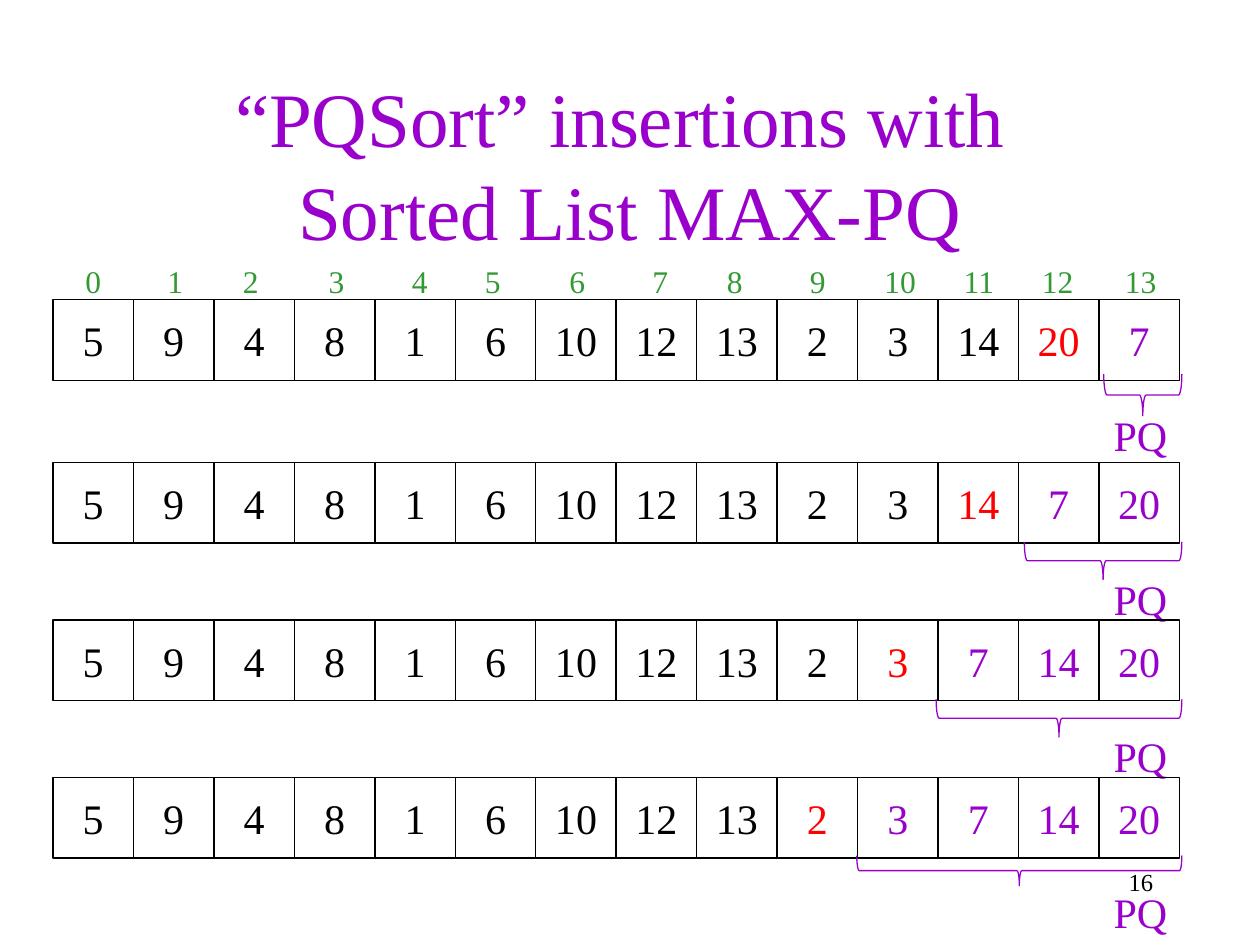
from pptx import Presentation
from pptx.dml.color import RGBColor
from pptx.enum.shapes import MSO_SHAPE
from pptx.enum.text import MSO_ANCHOR, MSO_AUTO_SIZE, PP_ALIGN
from pptx.util import Inches, Pt

BLACK = RGBColor(0x00, 0x00, 0x00)
RED = RGBColor(0xFF, 0x00, 0x00)
PURPLE = RGBColor(0x99, 0x00, 0xCC)
GREEN = RGBColor(0x33, 0x99, 0x33)
FONT = "Times New Roman"

TITLE = "“PQSort” insertions with \vSorted List MAX-PQ"
PAGE_NUMBER = "16"
INDEX_LEFTS = [0.58, 1.23, 1.83, 2.51, 3.17, 3.75, 4.42,
               5.08, 5.67, 6.33, 6.92, 7.55, 8.17, 8.83]
UNSORTED = [5, 9, 4, 8, 1, 6, 10, 12, 13, 2, 3, 14, 20, 7]
# One step per row: row top, PQ contents, brace (top, depth, length), PQ label top
STEPS = [
    (2.38, [7], (2.97, 0.33, 0.62), 3.2),
    (3.67, [7, 20], (4.3, 0.3, 1.25), 4.5),
    (4.92, [7, 14, 20], (5.55, 0.3, 1.95), 5.75),
    (6.17, [3, 7, 14, 20], (6.79, 0.24, 2.58), 6.99),
]

CELL = 0.64
ARRAY_LEFT, ARRAY_RIGHT = 0.42, 9.36
PITCH = (ARRAY_RIGHT - ARRAY_LEFT) / len(UNSORTED)
BRACE_RIGHT = 9.38
LABEL_LEFT = 8.74


def format_text(tf, size, color, align):
    for p in tf.paragraphs:
        p.alignment = align
        for r in p.runs:
            r.font.name = FONT
            r.font.size = Pt(size)
            r.font.color.rgb = color


def add_label(s, text, left, top, width, height, size, color,
              align=PP_ALIGN.LEFT, wrap=False):
    box = s.shapes.add_textbox(Inches(left), Inches(top), Inches(width), Inches(height))
    tf = box.text_frame
    tf.text = text
    tf.word_wrap = wrap
    tf.auto_size = MSO_AUTO_SIZE.NONE if wrap else MSO_AUTO_SIZE.SHAPE_TO_FIT_TEXT
    format_text(tf, size, color, align)


def add_outline(s, kind, left, top, width, height, color):
    sp = s.shapes.add_shape(kind, Inches(left), Inches(top), Inches(width), Inches(height))
    sp.shadow.inherit = False
    sp.fill.background()
    sp.line.color.rgb = color
    sp.line.width = Pt(0.75)
    return sp


def add_cell(s, value, column, top, color):
    sp = add_outline(s, MSO_SHAPE.RECTANGLE, ARRAY_LEFT + column * PITCH, top,
                     CELL, CELL, BLACK)
    tf = sp.text_frame
    tf.text = str(value)
    tf.word_wrap = False
    tf.vertical_anchor = MSO_ANCHOR.MIDDLE
    format_text(tf, 24, color, PP_ALIGN.CENTER)


def add_brace(s, top, depth, length):
    """Add a left brace turned to point down, ending at the array's right edge."""
    center_x, center_y = BRACE_RIGHT - length / 2, top + depth / 2
    sp = add_outline(s, MSO_SHAPE.LEFT_BRACE, center_x - depth / 2,
                     center_y - length / 2, depth, length, PURPLE)
    sp.rotation = 270
    sp.adjustments[0] = 0.08


def add_step(s, top, queue, brace, label_top):
    remaining = UNSORTED[:-len(queue)]
    next_column = len(remaining) - 1
    for column, value in enumerate(remaining + queue):
        if column < next_column:
            color = BLACK
        elif column == next_column:
            color = RED
        else:
            color = PURPLE
        add_cell(s, value, column, top, color)
    add_brace(s, *brace)
    add_label(s, "PQ", LABEL_LEFT, label_top, 0.63, 0.51, 24, PURPLE)


def main():
    prs = Presentation()
    prs.slide_width, prs.slide_height = Inches(10), Inches(7.5)
    s = prs.slides.add_slide(prs.slide_layouts[5])

    title = s.shapes.title
    title.left, title.top = Inches(0.75), Inches(0.67)
    title.width, title.height = Inches(8.5), Inches(1.25)
    tf = title.text_frame
    tf.text = TITLE
    tf.auto_size = MSO_AUTO_SIZE.NONE
    tf.vertical_anchor = MSO_ANCHOR.MIDDLE
    format_text(tf, 44, PURPLE, PP_ALIGN.CENTER)

    add_label(s, PAGE_NUMBER, 7.17, 6.83, 2.08, 0.5, 14, BLACK, PP_ALIGN.RIGHT, wrap=True)
    for index, left in enumerate(INDEX_LEFTS):
        add_label(s, str(index), left, 2.03, 0.33 if index < 10 else 0.45, 0.4, 18, GREEN)
    for step in STEPS:
        add_step(s, *step)

    prs.save("out.pptx")


if __name__ == "__main__":
    main()
